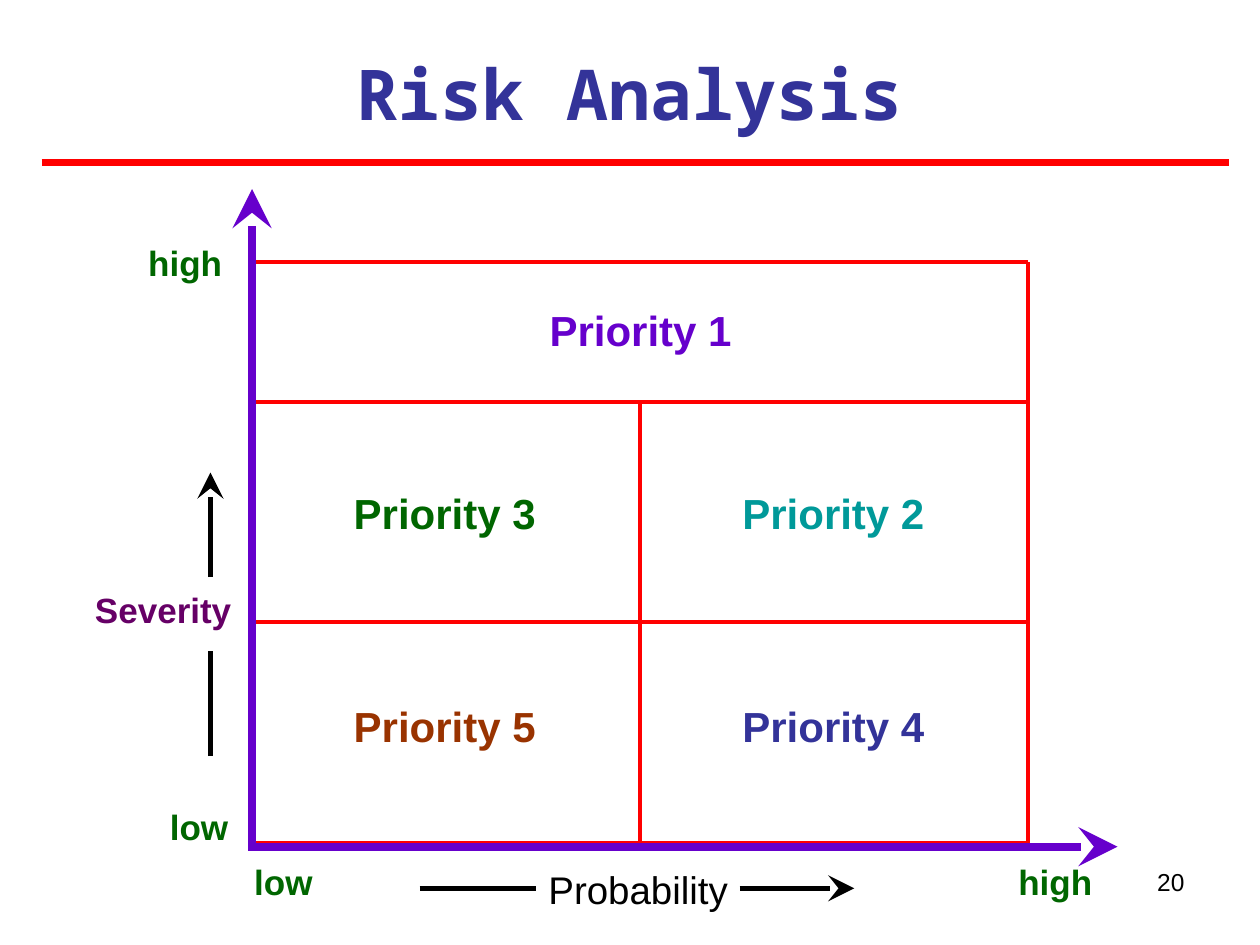
import dataclasses

import pptx
import pptx.dml.color
import pptx.enum.shapes
import pptx.enum.text
import pptx.oxml
import pptx.oxml.ns
import pptx.util
from pptx.util import Inches

ALIGN = pptx.enum.text.PP_ALIGN
ANCHOR = pptx.enum.text.MSO_ANCHOR


@dataclasses.dataclass(frozen=True)
class Theme:
    title_font: str = "Noto Sans Mono"
    body_font: str = "Arial"
    red: str = "FF0000"
    violet: str = "6600CC"
    green: str = "006600"
    teal: str = "009999"
    brown: str = "993300"
    navy: str = "333399"
    plum: str = "660066"
    black: str = "000000"
    title_size: float = 40
    priority_size: float = 24
    axis_size: float = 22
    label_size: float = 20
    number_size: float = 14
    thick: float = 4.5
    medium: float = 3
    thin: float = 2.25


class Page:
    def __init__(self, deck, theme):
        self.theme = theme
        self.slide = deck.slides.add_slide(deck.slide_layouts[5])

    def set_words(self, box, words, size, color, bold=True, align=ALIGN.CENTER,
                  inset=0, anchor=ANCHOR.TOP, font=None):
        frame = box.text_frame
        margins = {"margin_left": 2, "margin_right": 2, "margin_top": 1, "margin_bottom": 1}
        settings = {name: Inches(inset * share / 2) for name, share in margins.items()}
        settings.update(word_wrap=True, vertical_anchor=anchor,
                        auto_size=pptx.enum.text.MSO_AUTO_SIZE.NONE)
        for name, value in settings.items():
            setattr(frame, name, value)
        para = frame.paragraphs[0]
        para.alignment = align
        span = para.add_run()
        span.text = words
        formats = {"name": font or self.theme.body_font,
                   "size": pptx.util.Pt(size), "bold": bold}
        for name, value in formats.items():
            setattr(span.font, name, value)
        span.font.color.rgb = pptx.dml.color.RGBColor.from_string(color)

    def title(self, words, left, top, width, height):
        box = self.slide.shapes.title
        places = {"left": left, "top": top, "width": width, "height": height}
        for name, value in places.items():
            setattr(box, name, Inches(value))
        self.set_words(box, words, self.theme.title_size, self.theme.navy,
                       inset=0.1, anchor=ANCHOR.MIDDLE, font=self.theme.title_font)

    def text(self, words, left, top, width, height, size, color, **formats):
        box = self.slide.shapes.add_textbox(*map(Inches, (left, top, width, height)))
        self.set_words(box, words, size, color, **formats)

    def outline(self, shape, color, weight):
        shape.line.color.rgb = pptx.dml.color.RGBColor.from_string(color)
        shape.line.width = pptx.util.Pt(weight)

    def cell(self, left, top, width, height):
        box = self.slide.shapes.add_shape(
            pptx.enum.shapes.MSO_SHAPE.RECTANGLE, *map(Inches, (left, top, width, height)))
        box.shadow.inherit = False
        box.fill.background()
        self.outline(box, self.theme.red, self.theme.thin)

    def line(self, start, end, color, weight, arrow=False):
        rule = self.slide.shapes.add_connector(
            pptx.enum.shapes.MSO_CONNECTOR.STRAIGHT, *map(Inches, (*start, *end)))
        self.outline(rule, color, weight)
        properties = rule.element.find(pptx.oxml.ns.qn("p:spPr"))
        if arrow:
            tip = pptx.oxml.xmlchemy.OxmlElement("a:tailEnd")
            for name, value in {"type": "stealth", "w": "lg", "len": "lg"}.items():
                tip.set(name, value)
            properties.find(pptx.oxml.ns.qn("a:ln")).append(tip)
        properties.append(pptx.oxml.xmlchemy.OxmlElement("a:effectLst"))


def main():
    deck = pptx.Presentation()
    deck.slide_width, deck.slide_height = Inches(10), Inches(7.5)
    theme = Theme()
    page = Page(deck, theme)

    left, top, middle, cell_width, cell_height = 2, 2.08, 3.19, 3.08, 1.75
    right = left + 2 * cell_width

    page.title("Risk Analysis", 0.33, 0.35, 9.33, 0.77)
    page.text("20", 7.17, 6.83, 2.33, 0.52, theme.number_size, theme.black,
              bold=False, align=ALIGN.RIGHT, inset=0.1)

    page.line((left, top), (right, top), theme.red, theme.thin)
    page.line((right, top), (right, middle), theme.red, theme.thin)
    for row in range(2):
        for column in range(2):
            page.cell(left + column * cell_width, middle + row * cell_height,
                      cell_width, cell_height)

    page.line((0.33, 1.29), (9.75, 1.29), theme.red, theme.thick)
    page.line((1.97, 6.72), (8.87, 6.72), theme.violet, theme.thick, arrow=True)
    page.line((left, 6.73), (left, 1.5), theme.violet, theme.thick, arrow=True)

    priorities = [
        ("Priority 1", 3.92, 2.42, 2.33, theme.violet),
        ("Priority 2", 5.45, 3.87, 2.33, theme.teal),
        ("Priority 3", 2.45, 3.87, 2.16, theme.green),
        ("Priority 4", 5.45, 5.56, 2.33, theme.navy),
        ("Priority 5", 2.45, 5.56, 2.16, theme.brown),
    ]
    for words, x, y, width, color in priorities:
        page.text(words, x, y, width, 0.4, theme.priority_size, color)

    labels = [
        ("high", 1.12, 1.92, 0.7, theme.green),
        ("Severity", 0.67, 4.67, 1.25, theme.plum),
        ("low", 1.33, 6.39, 0.5, theme.green),
        ("low", 2, 6.83, 0.5, theme.green),
        ("high", 8, 6.83, 0.75, theme.green),
    ]
    for words, x, y, width, color in labels:
        page.text(words, x, y, width, 0.33, theme.label_size, color)
    page.text("Probability", 3.9, 6.87, 2.33, 0.37, theme.axis_size, theme.black, bold=False)

    directions = [
        ((1.67, 6), (1.67, 5.17), False),
        ((1.67, 4.58), (1.67, 3.75), True),
        ((3.33, 7.05), (4.25, 7.05), False),
        ((5.87, 7.05), (6.78, 7.05), True),
    ]
    for start, end, arrow in directions:
        page.line(start, end, theme.black, theme.medium, arrow)

    deck.save("out.pptx")


if __name__ == "__main__":
    main()
